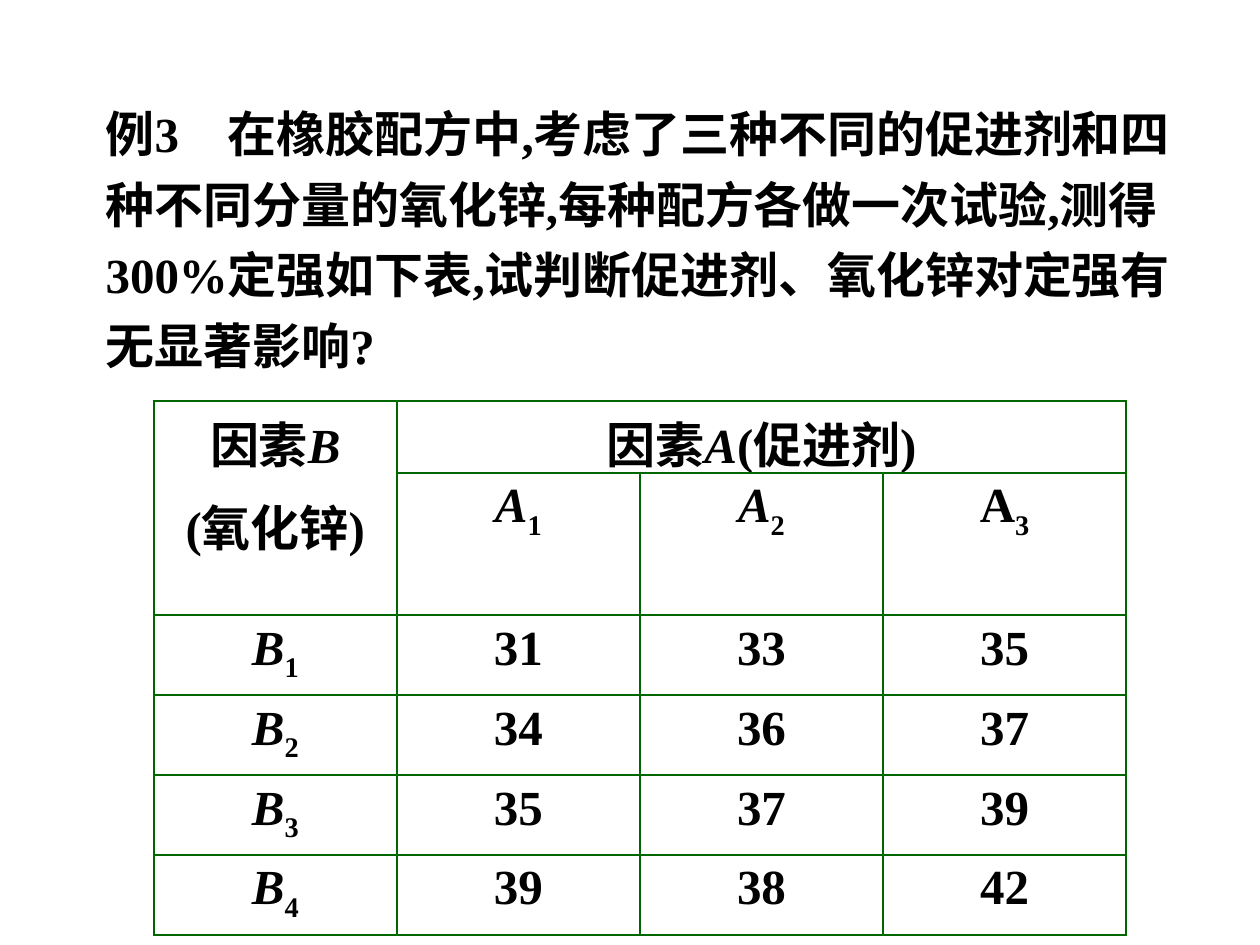
import pptx
import pptx.dml.color
import pptx.enum.text
import pptx.oxml
import pptx.oxml.ns
import pptx.util
from pptx.util import Cm

BLACK = pptx.dml.color.RGBColor(0x00, 0x00, 0x00)
GREEN = pptx.dml.color.RGBColor(0x00, 0x66, 0x00)
LATIN_FONT = "Times New Roman"
CHINESE_FONT = "Noto Sans CJK SC"
TEXT_SIZE = pptx.util.Pt(28)
BORDER_WIDTH = pptx.util.Pt(1.47)

QUESTION = [
    "例3\u3000在橡胶配方中,考虑了三种不同的促进剂和四",
    "种不同分量的氧化锌,每种配方各做一次试验,测得",
    "300%定强如下表,试判断促进剂、氧化锌对定强有",
    "无显著影响?",
]
STRENGTHS = [[31, 33, 35], [34, 36, 37], [35, 37, 39], [39, 38, 42]]

COLUMN_WIDTH = Cm(4.9)
ROW_HEIGHTS = [Cm(1.45), Cm(2.87)] + [Cm(1.61)] * len(STRENGTHS)


def add_span(para, text, style=""):
    """Add bold text; style is "", "italic" or "subscript"."""
    span = para.add_run()
    span.text = text
    font = span.font
    font.name, font.size, font.bold = LATIN_FONT, TEXT_SIZE, True
    font.italic = style == "italic"
    font.color.rgb = BLACK
    properties = font._element
    if style == "subscript":
        properties.set("baseline", "-25000")
    east_asian = pptx.oxml.parse_xml(
        f'<a:ea {pptx.oxml.ns.nsdecls("a")} typeface="{CHINESE_FONT}"/>')
    properties.find(pptx.oxml.ns.qn("a:latin")).addnext(east_asian)


def add_question(page):
    box = page.shapes.add_textbox(Cm(1.88), Cm(1.73), Cm(22.91), Cm(5.94))
    frame = box.text_frame
    frame.word_wrap = False
    frame.auto_size = pptx.enum.text.MSO_AUTO_SIZE.SHAPE_TO_FIT_TEXT
    for index, line in enumerate(QUESTION):
        para = frame.add_paragraph() if index else frame.paragraphs[0]
        para.line_spacing = 1.2
        add_span(para, line)


def style_cell(cell):
    """Give a cell green borders and no fill."""
    properties = cell._tc.get_or_add_tcPr()
    for side in ("lnL", "lnR", "lnT", "lnB"):
        properties.append(pptx.oxml.parse_xml(
            f'<a:{side} {pptx.oxml.ns.nsdecls("a")} w="{BORDER_WIDTH}">'
            f'<a:solidFill><a:srgbClr val="{GREEN}"/></a:solidFill></a:{side}>'))
    cell.fill.background()


def write_cell(cell, *lines):
    """Write centred lines, each a list of (text, style) spans."""
    frame = cell.text_frame
    for index, line in enumerate(lines):
        para = frame.add_paragraph() if index else frame.paragraphs[0]
        para.alignment = pptx.enum.text.PP_ALIGN.CENTER
        if index:
            para.space_before = pptx.util.Pt(7)
        for span in line:
            add_span(para, *span)


def add_strength_table(page):
    columns = len(STRENGTHS[0]) + 1
    table = page.shapes.add_table(
        len(ROW_HEIGHTS), columns, Cm(3.1), Cm(8.08),
        COLUMN_WIDTH * columns, sum(ROW_HEIGHTS)).table
    table.first_row = table.horz_banding = False
    for column in table.columns:
        column.width = COLUMN_WIDTH
    for row, height in zip(table.rows, ROW_HEIGHTS):
        row.height = height
    for cell in table.iter_cells():
        style_cell(cell)

    # Factor headings
    table.cell(0, 0).merge(table.cell(1, 0))
    table.cell(0, 1).merge(table.cell(0, columns - 1))
    write_cell(table.cell(0, 0), [("因素",), ("B", "italic")], [("(氧化锌)",)])
    write_cell(table.cell(0, 1), [("因素",), ("A", "italic"), ("(促进剂)",)])

    # Levels of factor A; the last letter is upright
    for level in range(1, columns):
        style = "italic" if level < columns - 1 else ""
        write_cell(table.cell(1, level), [("A", style), (str(level), "subscript")])

    # Levels of factor B with the measured strengths
    for level, values in enumerate(STRENGTHS, start=1):
        row = level + 1
        write_cell(table.cell(row, 0), [("B", "italic"), (str(level), "subscript")])
        for column, value in enumerate(values, start=1):
            write_cell(table.cell(row, column), [(str(value),)])


def main():
    deck = pptx.Presentation()
    deck.slide_width, deck.slide_height = Cm(25.4), Cm(19.05)
    page = deck.slides.add_slide(deck.slide_layouts[6])
    add_question(page)
    add_strength_table(page)
    deck.save("out.pptx")


if __name__ == "__main__":
    main()
